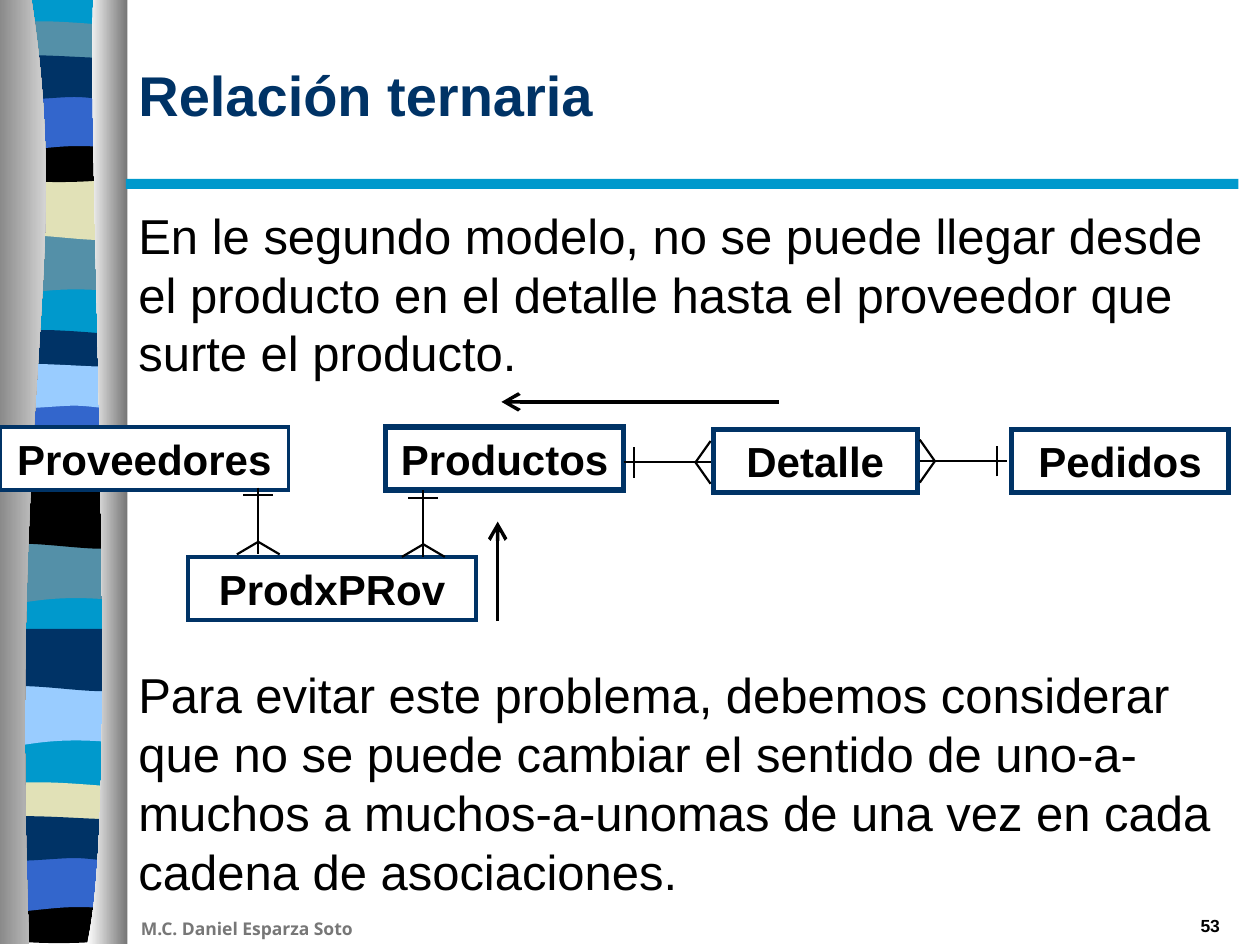
from pptx import Presentation
from pptx.dml.color import RGBColor
from pptx.enum.shapes import MSO_CONNECTOR, MSO_SHAPE
from pptx.enum.text import MSO_ANCHOR, PP_ALIGN
from pptx.oxml.ns import qn
from pptx.util import Inches, Pt
from lxml import etree

LEFT, CENTER, RIGHT = PP_ALIGN.LEFT, PP_ALIGN.CENTER, PP_ALIGN.RIGHT
TOP, MIDDLE = MSO_ANCHOR.TOP, MSO_ANCHOR.MIDDLE
RECTANGLE, STRAIGHT = MSO_SHAPE.RECTANGLE, MSO_CONNECTOR.STRAIGHT
NAVY, TEAL, SLATE, SAND = "003366", "0099CC", "5490A8", "E1E1B7"
BLUE, SKY, BLACK, WHITE, GREY = "3366CC", "99CCFF", "000000", "FFFFFF", "767676"
color = RGBColor.from_string

presentation = Presentation()
presentation.slide_width, presentation.slide_height = Inches(10), Inches(7.5)
slide = presentation.slides.add_slide(presentation.slide_layouts[6])
shapes = slide.shapes


def add_outline(start, segments, top=0):
    """Freeform from segments of one point (line) or three points (Bezier curve)."""
    builder = shapes.build_freeform(Inches(start[0]), Inches(start[1] + top))
    builder.add_line_segments([(Inches(x), Inches(y + top))
                               for segment in segments for x, y in segment], close=True)
    outline = builder.convert_to_shape()
    outline.shadow.inherit = False
    outline.line.fill.background()
    steps = iter(list(outline._element.iter(qn("a:lnTo"))))
    for segment in segments:
        first = next(steps)
        if len(segment) == 3:
            first.tag = qn("a:cubicBezTo")
            for step in (next(steps), next(steps)):
                first.append(step[0])
                step.getparent().remove(step)
    return outline


def write(shape, texts, size, **changes):
    """One paragraph for each text, in a shape or text box."""
    look = {"color": BLACK, "bold": True, "name": "Arial", "align": LEFT,
            "anchor": TOP, "gap": 0, "wrap": True, **changes}
    frame = shape.text_frame
    frame.word_wrap, frame.vertical_anchor = look["wrap"], look["anchor"]
    for number, text in enumerate(texts):
        paragraph = frame.add_paragraph() if number else frame.paragraphs[0]
        paragraph.text, paragraph.alignment = text, look["align"]
        if number:
            paragraph.space_before = Pt(look["gap"])
        font = paragraph.runs[0].font
        for name, value in {"size": Pt(size), "bold": look["bold"], "name": look["name"]}.items():
            setattr(font, name, value)
        font.color.rgb = color(look["color"])


# Ribbon: six band outlines, relative to the top of each band
E, W = -.05, .98
outlines = {
    "dip": ((W, 0), [[(W, .47)], [(.27, .39), (.13, .55), (E, .47)], [(E, 0)]]),
    "sway": ((W, 0), [[(W, .47)], [(.81, .55), (.27, .41), (E, .47)], [(E, 0)]]),
    "crest": ((W, .05), [[(W, .29)], [(.81, .34), (.13, .34), (E, .29)], [(E, .05)],
                         [(.02, 0), (.18, .01), (.35, .01)],
                         [(.52, .01), (.85, .04), (W, .05)]]),
    "bowl": ((W, 0), [[(W, .32)], [(.81, .38), (.13, .38), (E, .32)], [(E, 0)],
                      [(.59, .05), (.77, 0), (W, 0)]]),
    "swell": ((W, 0), [[(W, .47)], [(.82, .42), (.76, .42), (.59, .42)],
                       [(.42, .42), (.11, .47), (E, .47)], [(E, 0)]]),
    "ripple": ((W, .05), [[(W, .36)], [(.92, .41), (.76, .36), (.59, .36)],
                          [(.42, .36), (.06, .41), (E, .36)], [(E, .05)],
                          [(.1, 0), (.65, .05), (.82, .05)],
                          [(.99, .05), (.95, .05), (W, .05)]]),
}
band_tops = {"dip": 1.85, "sway": 1.41, "crest": .16, "bowl": 1.08, "swell": .74, "ripple": .41}
band_groups = [
    (0, {"dip": SLATE, "sway": SAND, "crest": SLATE, "bowl": BLACK, "swell": BLUE, "ripple": NAVY}),
    (2.45, {"dip": SLATE, "sway": BLACK, "crest": NAVY, "bowl": SAND, "swell": BLUE, "ripple": SKY}),
    (3.58, {"dip": SKY, "sway": NAVY}),
    (6.04, {"crest": SAND, "bowl": BLACK, "swell": BLUE, "ripple": NAVY}),
]
ground = add_outline((W, 0), [[(W, 7.47)], [(E, 7.47)], [(E, 0)]])
ground.fill.solid()
ground.fill.fore_color.rgb = color(TEAL)
for offset, bands in band_groups:
    for kind, band_color in bands.items():
        band = add_outline(*outlines[kind], top=band_tops[kind] + offset)
        band.fill.solid()
        band.fill.fore_color.rgb = color(band_color)

# Shaded columns on both sides of the ribbon
columns = [
    ((.25, 0), [[(.58, 2.16), (.07, 2.96), (.23, 7.49)], [(-.1, 7.49)], [(-.1, 0)]],
     (GREY, WHITE)),
    ((.74, 0), [[(.69, 1.25), (.96, 6.46), (.69, 7.49)], [(1.01, 7.49)], [(1.01, 0)]],
     (WHITE, GREY)),
]
for start, segments, shades in columns:
    column = add_outline(start, segments)
    column.fill.gradient()
    column.fill.gradient_angle = 0
    for stop, shade in zip(column.fill.gradient_stops, shades):
        stop.color.rgb = color(shade)

# Rule under the title
rule = shapes.add_shape(RECTANGLE, *map(Inches, (1, 1.42, 8.83, .08)))
rule.shadow.inherit = False
rule.fill.solid()
rule.fill.fore_color.rgb = color(TEAL)
rule.line.fill.background()

# Footer, title, body and slide number
body = ["En le segundo modelo, no se puede llegar desde el producto en el detalle hasta el "
        "proveedor que surte el producto.",
        "Para evitar este problema, debemos considerar que no se puede cambiar el sentido de "
        "uno-a-muchos a muchos-a-unomas de una vez en cada cadena de asociaciones."]
texts = [
    ((1.02, 7.24, 2.83, .27), ["M.C. Daniel Esparza Soto"], 10,
     {"color": "777777", "name": "Open Sans"}),
    ((1, .12, 8.78, 1.25), ["Relación ternaria"], 32, {"color": NAVY, "anchor": MIDDLE}),
    ((1, 1.58, 8.78, 5.75), body, 28, {"bold": False, "gap": 161.7}),
    ((7.7, 7.21, 2.08, .26), ["53"], 10, {"align": RIGHT}),
]
for place, paragraphs, size, changes in texts:
    write(shapes.add_textbox(*map(Inches, place)), paragraphs, size, **changes)

# Entities
entities = [("Productos", 3.06, 3.39, 1.89, 3, None), ("Proveedores", 0, 3.39, 2.29, 2.25, WHITE),
            ("Pedidos", 8.03, 3.41, 1.72, 3, None), ("Detalle", 5.66, 3.41, 1.62, 3, None),
            ("ProdxPRov", 1.49, 4.42, 2.29, 2.25, WHITE)]
for name, left, top, width, weight, fill in entities:
    entity = shapes.add_shape(RECTANGLE, *map(Inches, (left, top, width, .5)))
    entity.shadow.inherit = False
    if fill:
        entity.fill.solid()
        entity.fill.fore_color.rgb = color(fill)
    else:
        entity.fill.background()
    entity.line.color.rgb, entity.line.width = color(NAVY), Pt(weight)
    etree.SubElement(entity.line._get_or_add_ln(), qn("a:miter"), lim="800000")
    write(entity, [name], 24, align=CENTER, anchor=MIDDLE, wrap=False)

# Relations run from the "one" end (tick) to the "many" end (crow's foot)
relations = [((4.95, 3.67), (5.64, 3.67)), ((7.99, 3.66), (7.3, 3.66)),
             ((2.05, 3.87), (2.05, 4.4)), ((3.36, 3.89), (3.36, 4.42))]
lines = []
for (x1, y1), (x2, y2) in relations:
    length = abs(x2 - x1) + abs(y2 - y1)
    dx, dy = (x2 - x1) / length, (y2 - y1) / length
    tick, foot = (.08, .12) if dx else (.06, .1)
    tick_x, tick_y = x1 + tick * dx, y1 + tick * dy
    apex = (x2 - foot * dx, y2 - foot * dy)
    lines.append(((x1, y1), (x2, y2), 1.25, False))
    lines.append(((tick_x - .12 * dy, tick_y - .12 * dx),
                  (tick_x + .12 * dy, tick_y + .12 * dx), 1.25, False))
    for side in (-.17, .17):
        lines.append((apex, (x2 + side * dy, y2 + side * dx), 1.25, False))

# Reading direction arrows
lines += [((6.18, 3.19), (3.98, 3.19), 2, True), ((3.95, 4.93), (3.95, 4.14), 2, True)]
for start, end, weight, has_arrow in lines:
    connector = shapes.add_connector(STRAIGHT, *map(Inches, (*start, *end)))
    connector.line.color.rgb, connector.line.width = color(BLACK), Pt(weight)
    if has_arrow:
        etree.SubElement(connector.line._get_or_add_ln(), qn("a:tailEnd"),
                         type="arrow", w="lg", len="lg")
    etree.SubElement(connector._element.spPr, qn("a:effectLst"))

presentation.save("out.pptx")
